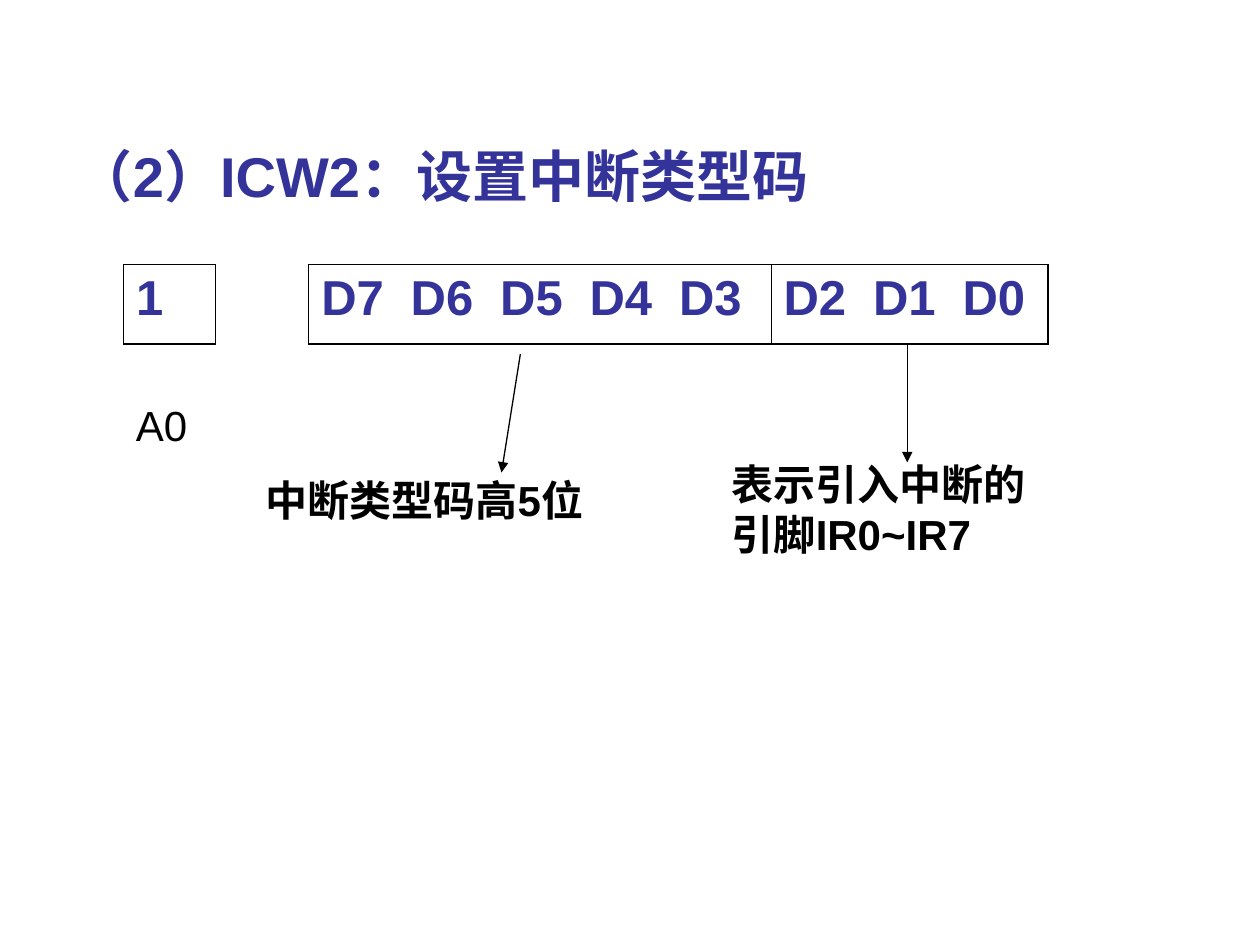
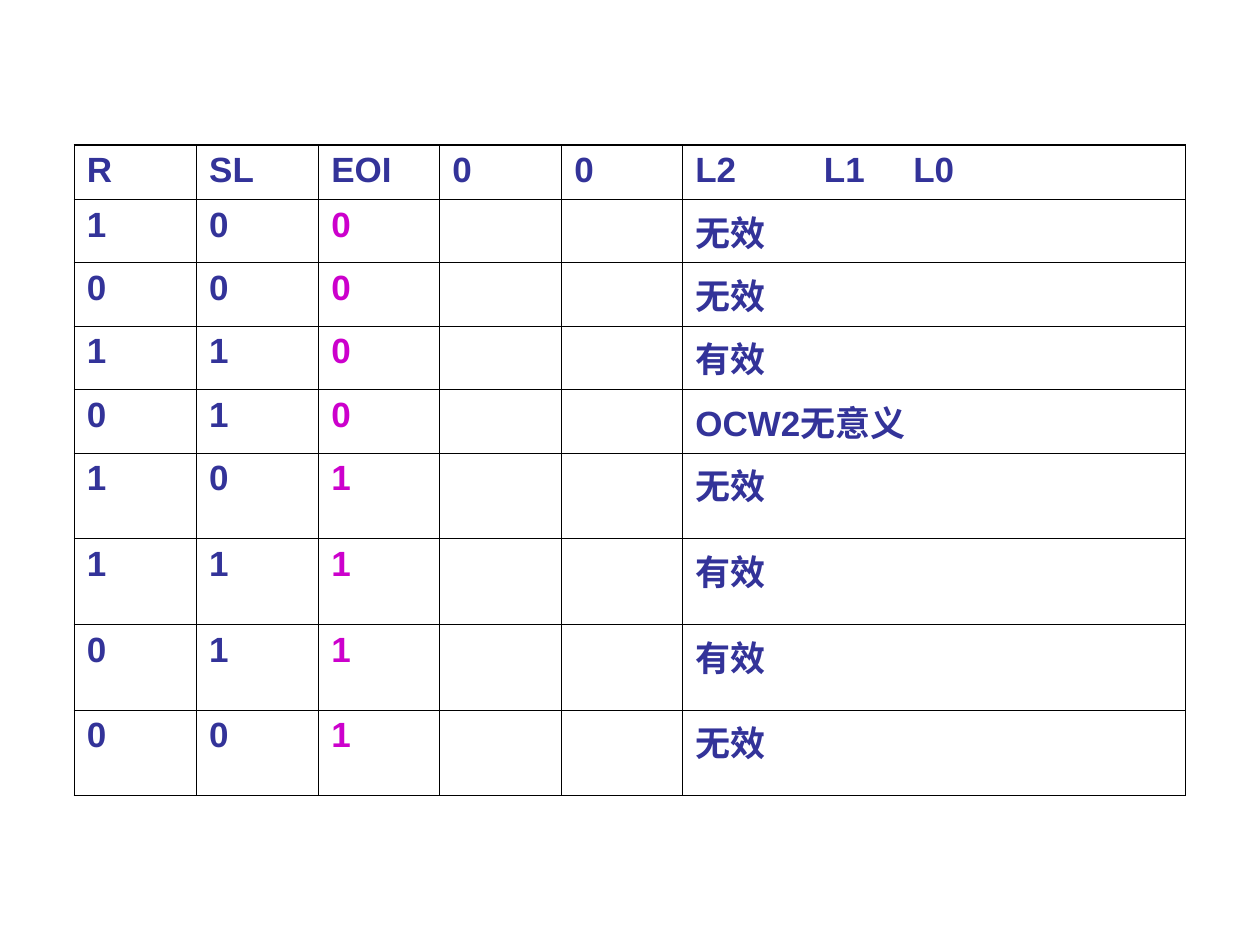
import pptx
import pptx.dml.color
import pptx.enum.shapes
import pptx.enum.text
import pptx.oxml
import pptx.oxml.ns
import pptx.util

Inches = pptx.util.Inches
Pt = pptx.util.Pt

HUES = {"ink": "000000", "blue": "333399", "pink": "CC00CC"}
FONT = "Arial"
THICK, THIN = 1.08, 0.45
SPACE = pptx.oxml.ns.nsdecls("a")


class Deck:
    def __init__(self):
        self.show = pptx.Presentation()
        self.show.slide_width = Inches(10)
        self.show.slide_height = Inches(7.5)
        self.slide = None

    def page(self, layout):
        self.slide = self.show.slides.add_slide(self.show.slide_layouts[layout])

    def style(self, para, text, size, hue, bold=True, tabs=()):
        """Fill a paragraph with text and format its runs."""
        para.text = text
        para.alignment = pptx.enum.text.PP_ALIGN.LEFT
        if tabs:
            stops = "".join(f'<a:tab pos="{Inches(t)}" algn="l"/>' for t in tabs)
            para._p.get_or_add_pPr().append(
                pptx.oxml.parse_xml(f"<a:tabLst {SPACE}>{stops}</a:tabLst>"))
        for run in para.runs:
            run.font.name = FONT
            run.font.size = Pt(size)
            run.font.bold = bold
            run.font.color.rgb = pptx.dml.color.RGBColor.from_string(HUES[hue])

    def title(self, text, left, top, width, height):
        box = self.slide.shapes.title
        box.left, box.top = Inches(left), Inches(top)
        box.width, box.height = Inches(width), Inches(height)
        frame = box.text_frame
        frame.auto_size = pptx.enum.text.MSO_AUTO_SIZE.NONE
        frame.vertical_anchor = pptx.enum.text.MSO_ANCHOR.TOP
        self.style(frame.paragraphs[0], text, 32, "blue")

    def label(self, text, left, top, width, height, bold=True):
        box = self.slide.shapes.add_textbox(
            Inches(left), Inches(top), Inches(width), Inches(height))
        frame = box.text_frame
        frame.word_wrap = True
        frame.auto_size = pptx.enum.text.MSO_AUTO_SIZE.SHAPE_TO_FIT_TEXT
        self.style(frame.paragraphs[0], text, 24, "ink", bold)

    def arrow(self, start, end):
        line = self.slide.shapes.add_connector(
            pptx.enum.shapes.MSO_CONNECTOR.STRAIGHT,
            *(Inches(n) for n in (*start, *end)))
        line.line.width = Pt(0.75)
        line.line.color.rgb = pptx.dml.color.RGBColor.from_string(HUES["ink"])
        line.line._get_or_add_ln().append(
            pptx.oxml.parse_xml(f'<a:tailEnd {SPACE} type="triangle"/>'))
        line._element.spPr.append(pptx.oxml.parse_xml(f"<a:effectLst {SPACE}/>"))

    def edge(self, cell, side, width):
        """Draw one cell border; a width of 0 hides it."""
        fill = (f'<a:solidFill><a:srgbClr val="{HUES["ink"]}"/></a:solidFill>'
                if width else "<a:noFill/>")
        cell._tc.get_or_add_tcPr().append(pptx.oxml.parse_xml(
            f'<a:ln{side} {SPACE} w="{Pt(width)}">{fill}</a:ln{side}>'))

    def grid(self, left, top, cols, rows, data, size, tabs, accent=None, gap=None):
        """Add a ruled table; accent is a pink column, gap an open one."""
        table = self.slide.shapes.add_table(
            len(rows), len(cols), Inches(left), Inches(top),
            Inches(sum(cols)), Inches(sum(rows))).table
        table.first_row = table.horz_banding = False
        for col, width in zip(table.columns, cols):
            col.width = Inches(width)
        for row, height in zip(table.rows, rows):
            row.height = Inches(height)
        for r, line in enumerate(data):
            for c, text in enumerate(line):
                cell = table.cell(r, c)
                outer = {"L": c == 0, "R": c == len(cols) - 1,
                         "T": r == 0, "B": r == len(rows) - 1}
                for side, thick in outer.items():
                    hidden = c == gap and side in "TB"
                    self.edge(cell, side, 0 if hidden else THICK if thick else THIN)
                cell.fill.background()
                if text:
                    hue = "pink" if c == accent and r else "blue"
                    self.style(cell.text_frame.paragraphs[0], text, size, hue,
                               tabs=tabs if "\t" in text else ())


def type_code(deck):
    deck.page(5)
    deck.title("（2）ICW2：设置中断类型码", 0.51, 1.07, 9, 0.8)
    bits = ["\t".join(f"D{n}" for n in span)
            for span in (range(7, 2, -1), range(2, -1, -1))]
    deck.grid(0.98, 2.1, [0.73, 0.74, 3.67, 2.2], [0.63], [["1", "", *bits]],
              28, [0.71 * n for n in range(1, 5)], gap=1)
    deck.label("中断类型码高5位", 2.01, 3.72, 2.99, 0.5)
    deck.label("表示引入中断的引脚IR0~IR7", 5.71, 3.59, 2.6, 0.9)
    deck.arrow((4.13, 2.81), (3.98, 3.75))
    deck.arrow((7.2, 2.73), (7.2, 3.67))
    deck.label("A0", 0.98, 3.12, 0.71, 0.5, bold=False)


def command(deck):
    deck.page(6)
    codes = [("100", "无效"), ("000", "无效"), ("110", "有效"),
             ("010", "OCW2无意义"), ("101", "无效"), ("111", "有效"),
             ("011", "有效"), ("001", "无效")]
    data = [["R", "SL", "EOI", "0", "0", "L2\tL1\tL0"]]
    data += [[*code, "", "", note] for code, note in codes]
    deck.grid(0.59, 1.15, [0.97, 0.97, 0.96, 0.97, 0.96, 3.99],
              [0.43] * 4 + [0.47] + [0.68] * 4, data, 20, [1.02, 1.73], accent=2)


def main():
    deck = Deck()
    type_code(deck)
    command(deck)
    deck.show.save("out.pptx")


if __name__ == "__main__":
    main()
